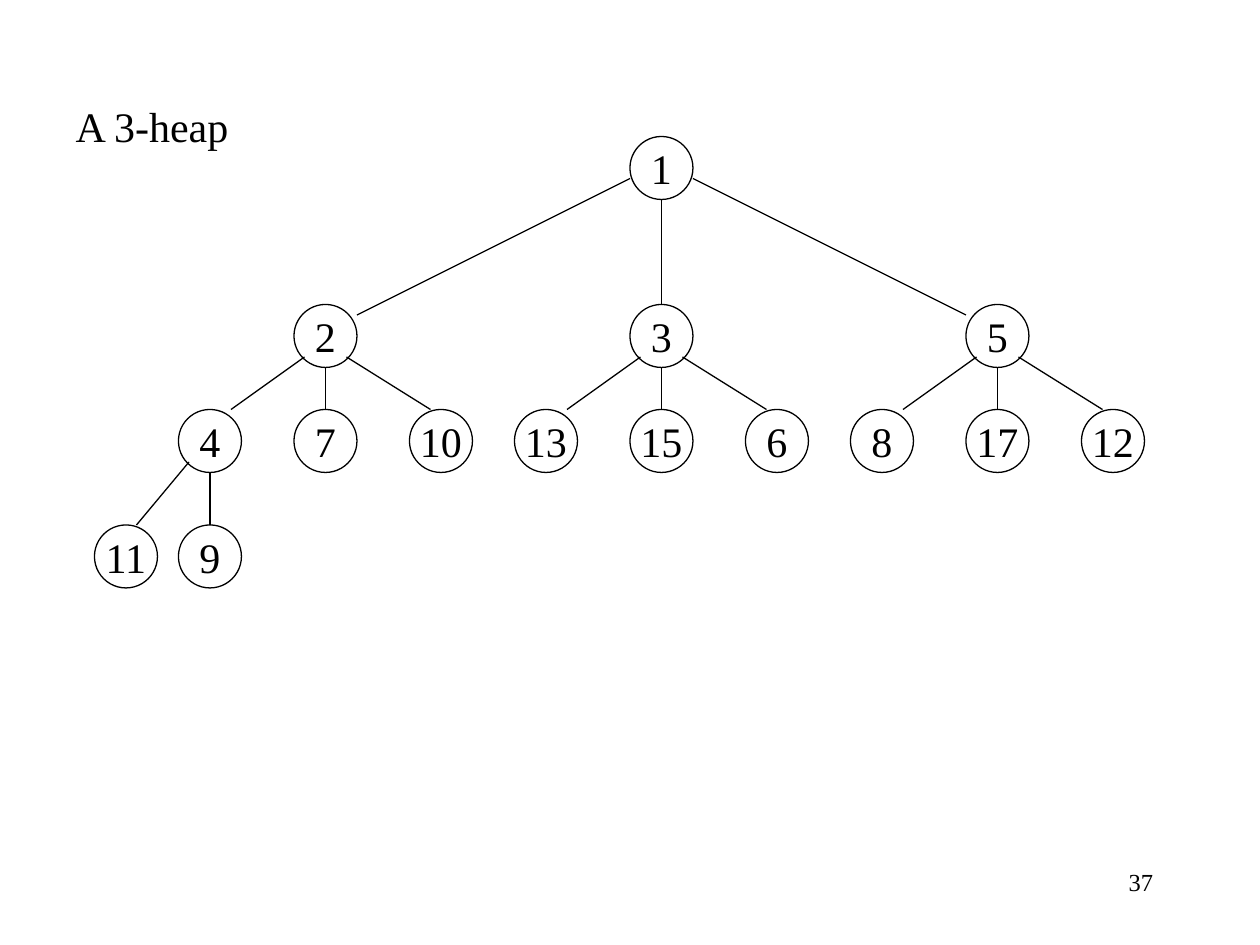
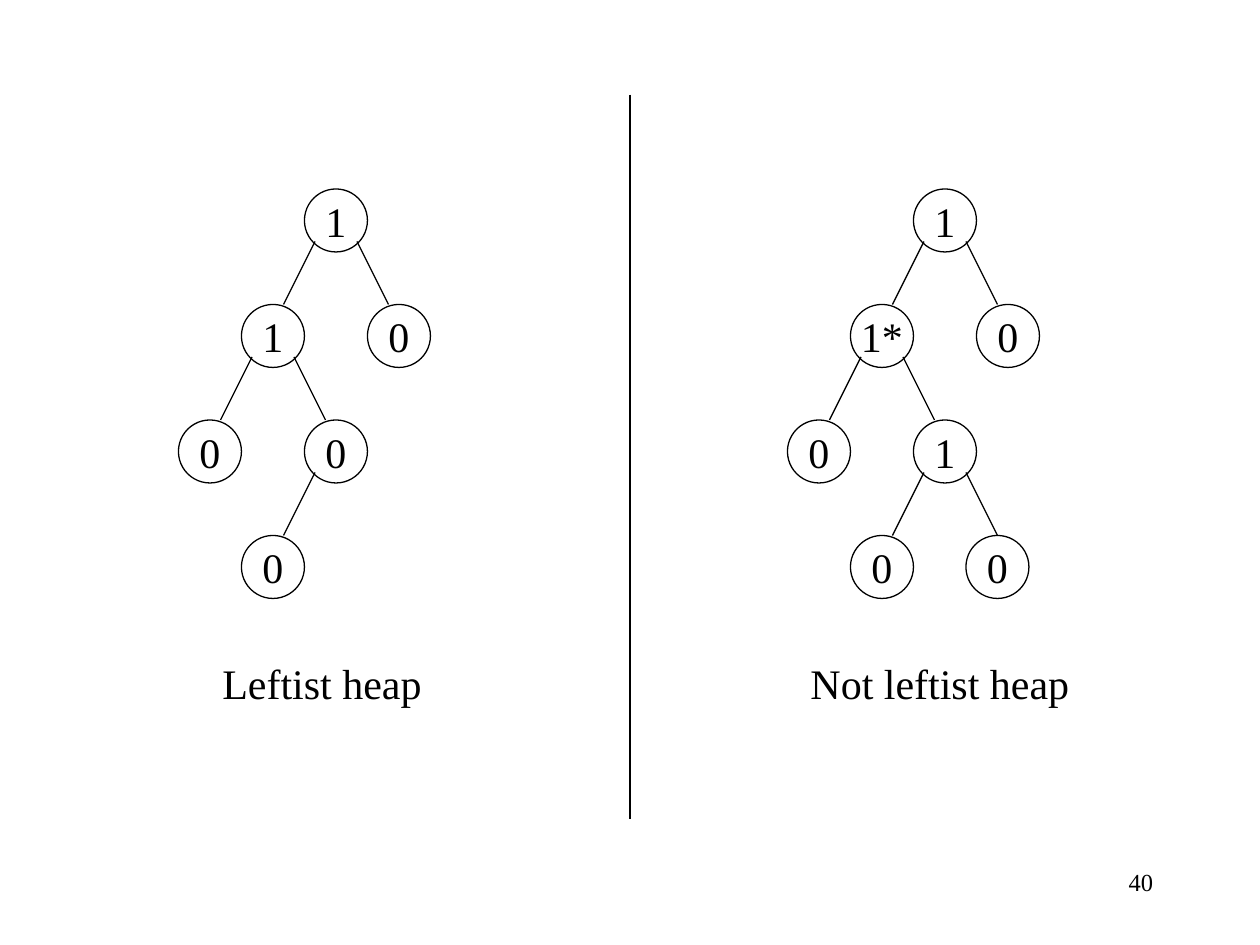
from lxml import etree
from pptx import Presentation
from pptx import util as u
from pptx.dml.color import RGBColor
from pptx.enum import shapes, text
from pptx.oxml import ns

BLACK = RGBColor(0, 0, 0)
WHITE = RGBColor(255, 255, 255)
FONT = "Times New Roman"
BODY_SIZE, NUMBER_SIZE = 24, 14
NODE_SIZE = 36
LINE_WIDTH = 0.75
TITLE_ONLY, BLANK = 5, 6

NUMBER_BOX = (534, 492, 132, 36)
DIVIDER = ((360, 54), (360, 468))

# Link name: start within the parent's box, end within the child's box
LINKS = {
    "wide left": ((0, 24), (36, 6)),
    "wide right": ((36, 24), (0, 6)),
    "left": ((6, 30), (30, 0)),
    "steep left": ((6, 30), (24, 0)),
    "down": ((18, 36), (18, 0)),
    "right": ((30, 30), (12, 0)),
    "short right": ((30, 30), (18, 0)),
}

# Node: label, shift from its parent, link to its parent, children
THREE_HEAP = ("1", 0, None, [
    ("2", -192, "wide left", [
        ("4", -66, "left", [
            ("11", -48, "steep left", []),
            ("9", 0, "down", []),
        ]),
        ("7", 0, "down", []),
        ("10", 66, "right", []),
    ]),
    ("3", 0, "down", [
        ("13", -66, "left", []),
        ("15", 0, "down", []),
        ("6", 66, "right", []),
    ]),
    ("5", 192, "wide right", [
        ("8", -66, "left", []),
        ("17", 0, "down", []),
        ("12", 66, "right", []),
    ]),
])
LEFTIST = ("1", 0, None, [
    ("1", -36, "steep left", [
        ("0", -36, "steep left", []),
        ("0", 36, "right", [
            ("0", -36, "steep left", []),
        ]),
    ]),
    ("0", 36, "right", []),
])
NOT_LEFTIST = ("1", 0, None, [
    ("1*", -36, "steep left", [
        ("0", -36, "steep left", []),
        ("1", 36, "right", [
            ("0", -36, "steep left", []),
            ("0", 30, "short right", []),
        ]),
    ]),
    ("0", 36, "right", []),
])

THREE_HEAP_TITLE = ("A 3-heap", (36, 54, 103, 36))
THREE_HEAP_LEFT = 360
THREE_HEAP_ROWS = [78, 174, 234, 300]
COMPARED_ROWS = [108 + 66 * row for row in range(4)]
# Tree, left of its root, caption, caption box
COMPARED = [
    (LEFTIST, 174, "Leftist heap", (120, 372, 128, 36)),
    (NOT_LEFTIST, 522, "Not leftist heap", (456, 372, 162, 36)),
]


def set_values(target, values):
    for name, value in values.items():
        setattr(target, name, value)


def place(shape, box):
    lengths = [u.Pt(value) for value in box]
    set_values(shape, dict(zip(("left", "top", "width", "height"), lengths)))


def write(shape, words, size=BODY_SIZE, align=text.PP_ALIGN.LEFT,
          anchor=text.MSO_ANCHOR.TOP, wrap=False):
    frame = shape.text_frame
    set_values(frame, {"word_wrap": wrap, "vertical_anchor": anchor,
                       "auto_size": text.MSO_AUTO_SIZE.NONE})
    para = frame.paragraphs[0]
    para.alignment = align
    span = para.add_run()
    span.text = words
    set_values(span.font, {"name": FONT, "size": u.Pt(size)})
    span.font.color.rgb = BLACK


def add_text(page, words, box, **style):
    write(page.shapes.add_textbox(*map(u.Pt, box)), words, **style)


def style_line(line):
    line.color.rgb = BLACK
    line.width = u.Pt(LINE_WIDTH)


def add_line(canvas, start, end):
    line = canvas.add_connector(shapes.MSO_CONNECTOR.STRAIGHT,
                                *map(u.Pt, (*start, *end)))
    style_line(line.line)
    etree.SubElement(line._element.spPr, ns.qn("a:effectLst"))


def add_node(canvas, label, left, top):
    circle = canvas.add_shape(shapes.MSO_SHAPE.OVAL,
                              *map(u.Pt, (left, top, NODE_SIZE, NODE_SIZE)))
    circle.shadow.inherit = False
    circle.fill.background()
    style_line(circle.line)
    write(circle, label, align=text.PP_ALIGN.CENTER,
          anchor=text.MSO_ANCHOR.MIDDLE)


def draw_tree(canvas, node, left, rows):
    """Draw a node on the first row and its descendants on the rows below."""
    label, _, _, children = node
    add_node(canvas, label, left, rows[0])
    for child in children:
        _, shift, link, _ = child
        (start_x, start_y), (end_x, end_y) = LINKS[link]
        child_left = left + shift
        add_line(canvas, (left + start_x, rows[0] + start_y),
                 (child_left + end_x, rows[1] + end_y))
        draw_tree(canvas, child, child_left, rows[1:])


def add_page(deck, layout, number):
    page = deck.slides.add_slide(deck.slide_layouts[layout])
    page.background.fill.solid()
    page.background.fill.fore_color.rgb = WHITE
    add_text(page, number, NUMBER_BOX, size=NUMBER_SIZE,
             align=text.PP_ALIGN.RIGHT, wrap=True)
    return page


def add_three_heap_page(deck):
    page = add_page(deck, TITLE_ONLY, "37")
    words, box = THREE_HEAP_TITLE
    place(page.shapes.title, box)
    write(page.shapes.title, words)
    draw_tree(page.shapes, THREE_HEAP, THREE_HEAP_LEFT, THREE_HEAP_ROWS)


def add_leftist_page(deck):
    page = add_page(deck, BLANK, "40")
    for tree, left, caption, box in COMPARED:
        group = page.shapes.add_group_shape()
        draw_tree(group.shapes, tree, left, COMPARED_ROWS)
        add_text(page, caption, box)
    add_line(page.shapes, *DIVIDER)


def main():
    deck = Presentation()
    set_values(deck, {"slide_width": u.Pt(720), "slide_height": u.Pt(540)})
    add_three_heap_page(deck)
    add_leftist_page(deck)
    deck.save("out.pptx")


if __name__ == "__main__":
    main()
